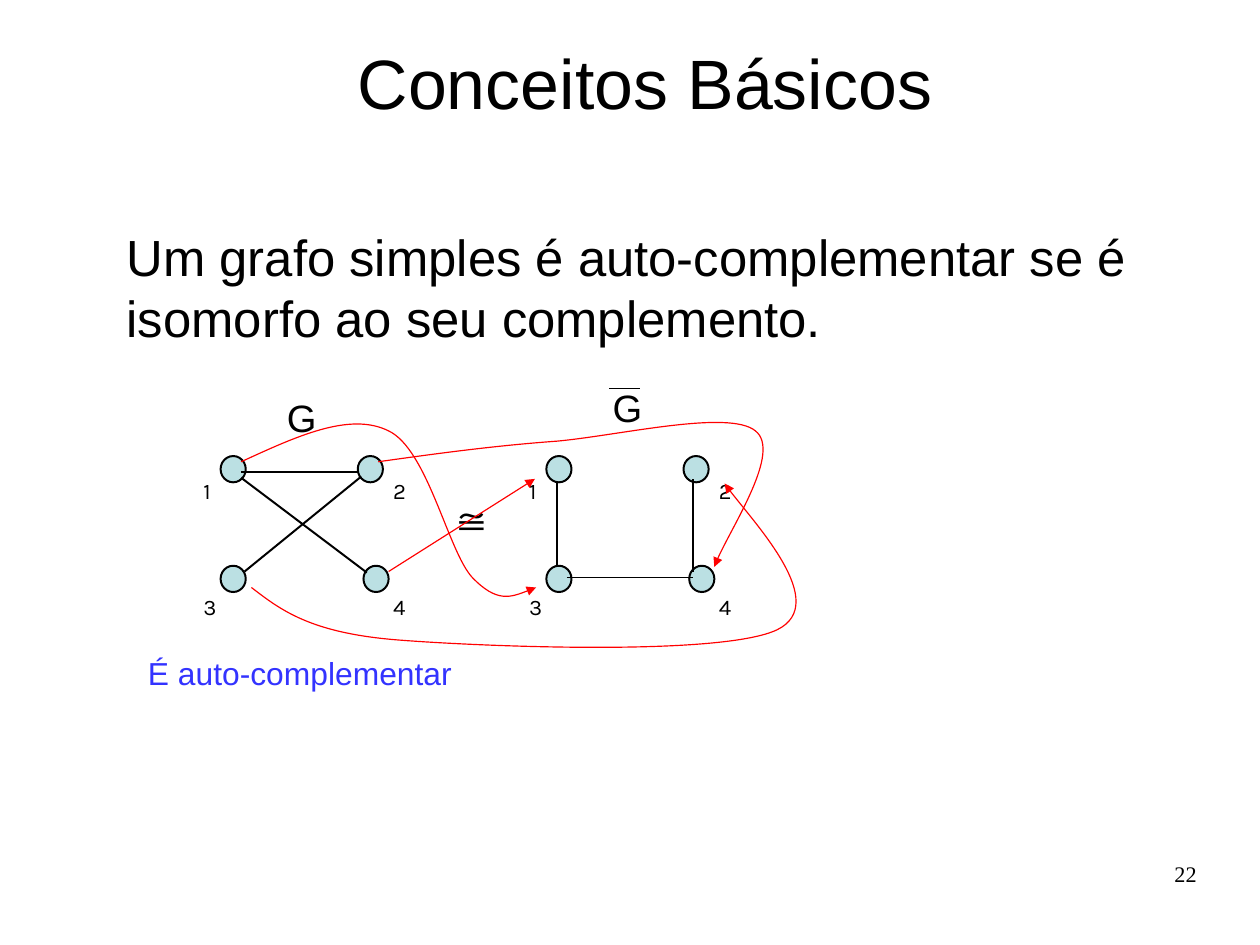
from lxml import etree
from pptx import Presentation
from pptx.dml.color import RGBColor
from pptx.enum.shapes import MSO_CONNECTOR, MSO_SHAPE
from pptx.enum.text import MSO_ANCHOR, PP_ALIGN
from pptx.oxml.ns import qn
from pptx.util import Cm, Inches, Pt

BLACK = RGBColor(0x00, 0x00, 0x00)
RED = RGBColor(0xFF, 0x00, 0x00)
BLUE = RGBColor(0x33, 0x33, 0xFF)
NODE_FILL = RGBColor(0xBB, 0xE0, 0xE3)

THIN, THICK = 0.75, 1.25
GRAPH_GAP = 2.85
NODES = [(1.93, 3.99), (3.13, 3.99), (1.93, 4.95), (3.18, 4.95)]
LABELS = [(1.68, 4.13), (3.34, 4.13), (1.68, 5.14), (3.34, 5.14)]
EDGES = [
    ((2.11, 4.18), (3.21, 5.01), THICK),
    ((2.14, 5), (3.16, 4.17), THICK),
    ((2.11, 4.13), (3.12, 4.13), THIN),
    ((4.87, 4.23), (4.87, 4.96), THICK),
    ((6.06, 5), (6.06, 4.19), THICK),
    ((4.96, 5.05), (6.06, 5.05), THIN),
]
MAPPING_CURVES = [
    [(2.11, 4.04), (2.59, 3.82), (3.06, 3.6), (3.4, 3.77), (3.74, 3.93),
     (3.92, 4.82), (4.13, 5.05), (4.35, 5.28), (4.52, 5.21), (4.69, 5.14)],
    [(3.31, 4.04), (3.81, 3.97), (4.32, 3.9), (4.87, 3.86), (5.42, 3.81),
     (6.38, 3.58), (6.61, 3.77), (6.84, 3.95), (6.34, 4.7), (6.25, 4.96)],
    [(2.2, 5.14), (2.46, 5.34), (2.72, 5.54), (3.49, 5.6), (4.26, 5.66),
     (6.32, 5.74), (6.8, 5.51), (7.27, 5.28), (6.52, 4.49), (6.34, 4.23)],
]


class GraphSlide:
    def __init__(self, prs, font="Arial"):
        self.s = prs.slides.add_slide(prs.slide_layouts[6])
        self.font = font

    def text(self, text, x, y, w, h, size, color=BLACK, font=None, wrap=True,
             align=PP_ALIGN.LEFT, anchor=MSO_ANCHOR.TOP, inset=True):
        sp = self.s.shapes.add_textbox(Inches(x), Inches(y), Inches(w), Inches(h))
        tf = sp.text_frame
        tf.word_wrap = wrap
        tf.vertical_anchor = anchor
        if not inset:
            tf.margin_left = tf.margin_right = tf.margin_top = tf.margin_bottom = 0
        tf.text = text
        p = tf.paragraphs[0]
        p.alignment = align
        r = p.runs[0]
        r.font.name = font or self.font
        r.font.size = Pt(size)
        r.font.color.rgb = color

    def node(self, x, y):
        sp = self.s.shapes.add_shape(MSO_SHAPE.OVAL, Inches(x), Inches(y),
                                     Inches(0.22), Inches(0.23))
        sp.shadow.inherit = False
        sp.fill.solid()
        sp.fill.fore_color.rgb = NODE_FILL
        self.outline(sp, BLACK, THICK)

    def outline(self, sp, color, width, arrow=False):
        sp.line.color.rgb = color
        sp.line.width = Pt(width)
        if arrow:
            ln = sp.element.spPr.find(qn("a:ln"))
            etree.SubElement(ln, qn("a:tailEnd"), type="triangle")

    def line(self, start, end, width, color=BLACK, arrow=False):
        ends = [Inches(v) for v in (*start, *end)]
        sp = self.s.shapes.add_connector(MSO_CONNECTOR.STRAIGHT, *ends)
        self.outline(sp, color, width, arrow)
        etree.SubElement(sp.element.spPr, qn("a:effectLst"))

    def curve(self, points):
        pts = [(Inches(x), Inches(y)) for x, y in points]
        fb = self.s.shapes.build_freeform(*pts[0])
        fb.add_line_segments(pts[1:], close=False)
        sp = fb.convert_to_shape()
        sp.shadow.inherit = False
        sp.fill.background()
        self.outline(sp, RED, THIN, arrow=True)
        segments = list(sp.element.iter(qn("a:lnTo")))
        for i in range(0, len(segments), 3):
            bezier = etree.Element(qn("a:cubicBezTo"))
            segments[i].addprevious(bezier)
            for segment in segments[i:i + 3]:
                bezier.append(segment[0])
                segment.getparent().remove(segment)

    def graph(self, dx):
        for x, y in NODES:
            self.node(x + dx, y)
        for number, (x, y) in enumerate(LABELS, 1):
            self.text(str(number), x + dx, y, 0.31, 0.37, 14, font="Karla", wrap=False)


def main():
    prs = Presentation()
    prs.slide_width = Cm(28)
    prs.slide_height = Cm(21)
    slide = GraphSlide(prs)
    center = PP_ALIGN.CENTER

    slide.text("Conceitos Básicos", 1.74, 0.28, 7.81, 0.87, 44,
               align=center, anchor=MSO_ANCHOR.MIDDLE)
    slide.text("Um grafo simples é auto-complementar se é isomorfo ao seu complemento.",
               1.01, 1.93, 9.65, 1.56, 32)
    for dx in (0, GRAPH_GAP):
        slide.graph(dx)
    for start, end, width in EDGES:
        slide.line(start, end, width)
    slide.text("É auto-complementar", 1.05, 5.67, 3.15, 0.41, 20, BLUE, align=center)
    slide.text("≅", 3.81, 4.19, 0.49, 0.51, 32, align=center)
    slide.text("G", 2.39, 3.4, 0.5, 0.47, 24, align=center)
    slide.text("G", 5.24, 3.31, 0.5, 0.47, 24, align=center)
    slide.line((5.33, 3.4), (5.6, 3.4), THIN)
    slide.line((3.4, 5), (4.68, 4.19), THIN, RED, arrow=True)
    for points in MAPPING_CURVES:
        slide.curve(points)
    slide.text("22", 7.9, 7.53, 2.57, 0.57, 14, font="Times New Roman",
               align=PP_ALIGN.RIGHT, inset=False)
    prs.save("out.pptx")


if __name__ == "__main__":
    main()
